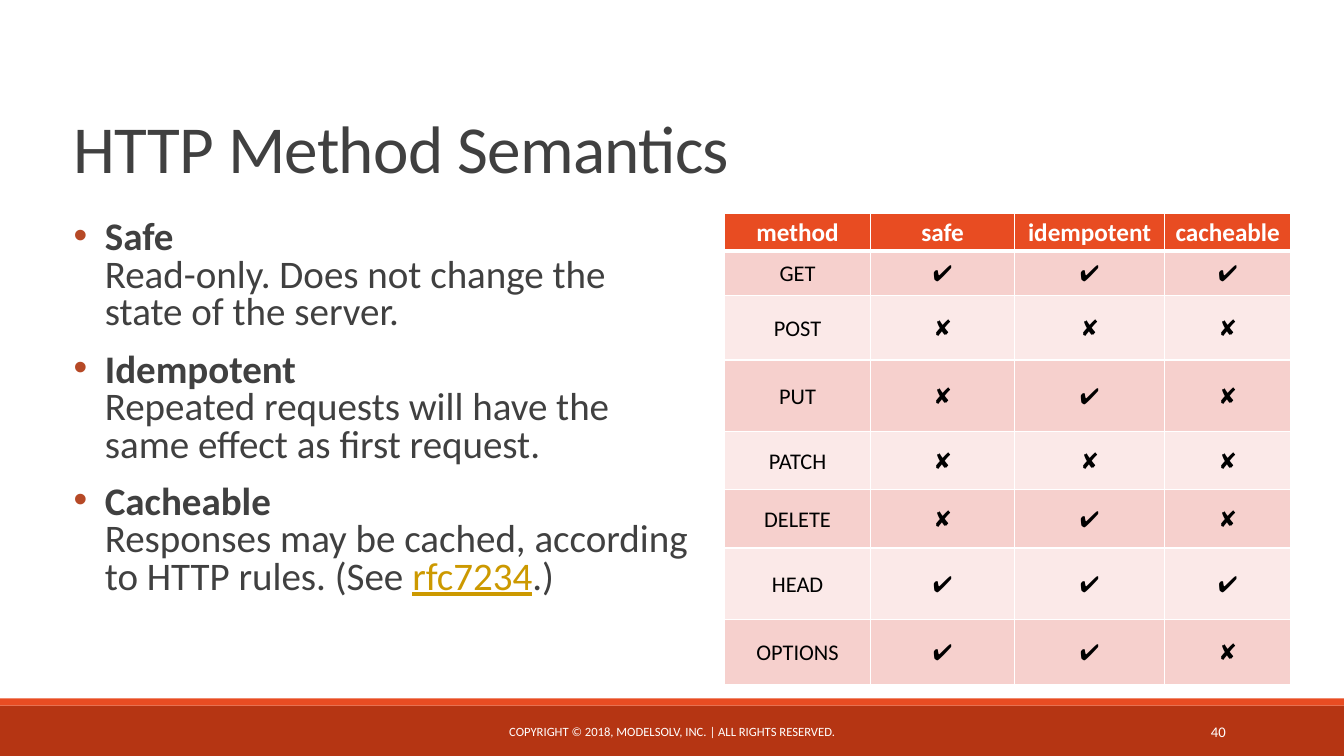
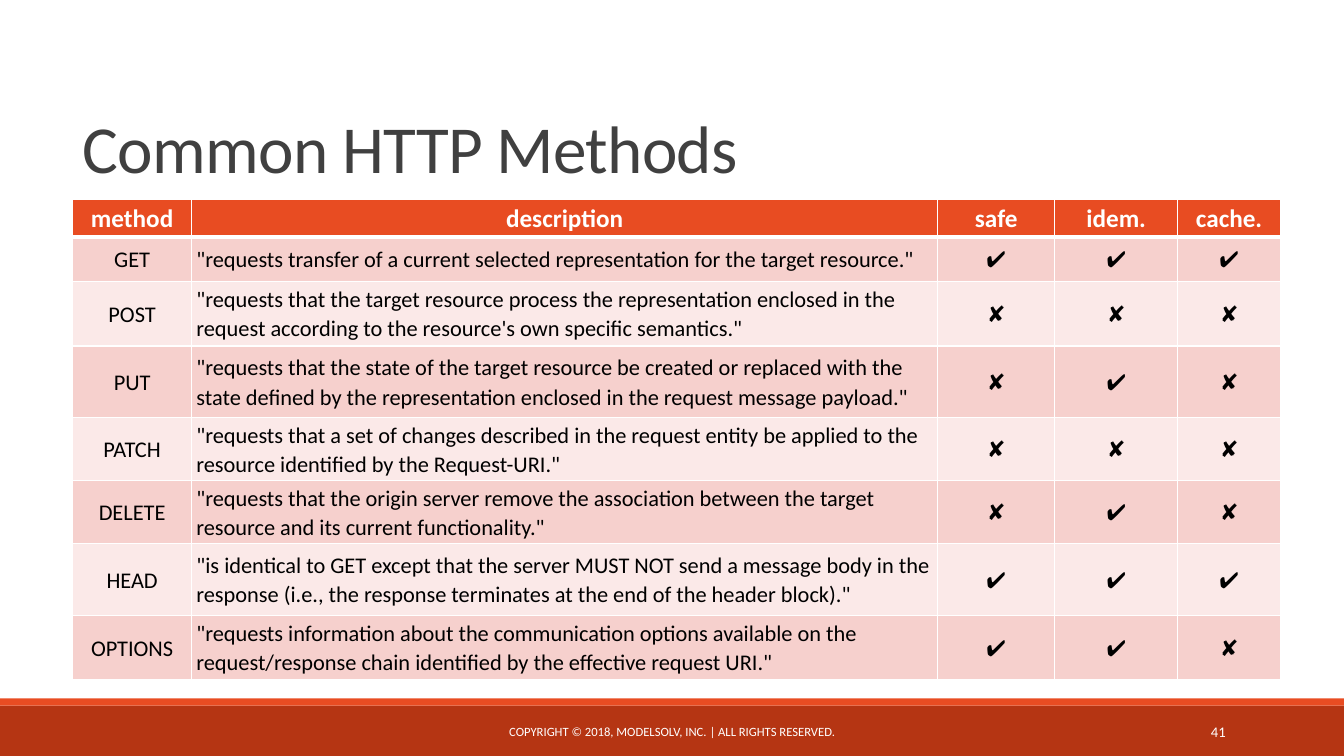
from dataclasses import dataclass
from typing import Any

from lxml.etree import SubElement
from pptx import Presentation
from pptx.dml.color import RGBColor
from pptx.enum.shapes import MSO_SHAPE
from pptx.enum.text import MSO_ANCHOR, MSO_AUTO_SIZE, PP_ALIGN
from pptx.oxml.ns import qn
from pptx.util import Cm, Pt

# Shared look
FACE = "Calibri"
WHITE, BLACK, GREY = "FFFFFF", "000000", "404040"
RUST, FLAME, GOLD, DOT = "B53513", "E84C22", "CC9900", "B64926"
BANDS = ("F6D0CD", "FBE9E8")
NOTICE = "COPYRIGHT © 2018, MODELSOLV, INC. | ALL RIGHTS RESERVED."
WIDE, HIGH = 33.87, 19.05

TITLE = {"size": 48, "color": GREY}
BODY = {"size": 27.9, "color": GREY}
HEAD = {"size": 18, "color": WHITE, "bold": True}
CELL = {"size": 16, "color": BLACK, "bold": False}


@dataclass
class Box:
    left: float
    top: float
    width: float
    height: float

    def args(self) -> tuple:
        return tuple(Cm(n) for n in (self.left, self.top, self.width, self.height))


@dataclass
class Verb:
    name: str
    text: str
    marks: str


@dataclass
class Term:
    name: str
    text: str
    link: str = ""
    tail: str = ""


@dataclass
class Grid:
    left: float
    top: float
    heads: list[str]
    cols: list[float]
    slim: float  # height of the PATCH and DELETE rows


VERBS = [
    Verb("GET", "requests transfer of a current selected representation for the "
         "target resource.", "✔✔✔"),
    Verb("POST", "requests that the target resource process the representation enclosed "
         "in the request according to the resource's own specific semantics.", "✘✘✘"),
    Verb("PUT", "requests that the state of the target resource be created or replaced "
         "with the state defined by the representation enclosed in the request message "
         "payload.", "✘✔✘"),
    Verb("PATCH", "requests that a set of changes described in the request entity be "
         "applied to the resource identified by the Request-URI.", "✘✘✘"),
    Verb("DELETE", "requests that the origin server remove the association between the "
         "target resource and its current functionality.", "✘✔✘"),
    Verb("HEAD", "is identical to GET except that the server MUST NOT send a message "
         "body in the response (i.e., the response terminates at the end of the header "
         "block).", "✔✔✔"),
    Verb("OPTIONS", "requests information about the communication options available on "
         "the request/response chain identified by the effective request URI.", "✔✔✘"),
]
TERMS = [
    Term("Safe", "Read-only. Does not change the state of the server."),
    Term("Idempotent", "Repeated requests will have the same effect as first request."),
    Term("Cacheable", "Responses may be cached, according to HTTP rules. (See ",
         "rfc7234", ".)"),
]


def paint(part: Any, color: str) -> None:
    """Give a fill or a font a colour."""
    if hasattr(part, "solid"):
        part.solid()
        part.fore_color.rgb = RGBColor.from_string(color)
    else:
        part.color.rgb = RGBColor.from_string(color)


def write(para: Any, text: str, look: dict, **more: Any) -> Any:
    """Add a run and set its format values."""
    run = para.add_run()
    run.text = text
    run.font.name = FACE
    for key, value in {**look, **more}.items():
        if key == "color":
            paint(run.font, value)
        else:
            setattr(run.font, key, Pt(value) if key == "size" else value)
    return run


def place(shape: Any, box: Box) -> None:
    for key, value in zip(("left", "top", "width", "height"), box.args()):
        setattr(shape, key, value)


def band(slide: Any, box: Box, color: str) -> None:
    bar = slide.shapes.add_shape(MSO_SHAPE.RECTANGLE, *box.args())
    bar.shadow.inherit = False
    paint(bar.fill, color)
    bar.line.fill.background()


def label(slide: Any, box: Box, text: str, size: float, align: PP_ALIGN) -> None:
    frame = slide.shapes.add_textbox(*box.args()).text_frame
    frame.word_wrap = True
    frame.vertical_anchor = MSO_ANCHOR.MIDDLE
    para = frame.paragraphs[0]
    para.alignment = align
    write(para, text, {"size": size, "color": WHITE})


def start(deck: Any, kind: int, title: str, left: float, page: int) -> Any:
    """Add a slide with its bands, title and footer."""
    slide = deck.slides.add_slide(deck.slide_layouts[kind])
    band(slide, Box(0, 17.78, WIDE, 1.27), RUST)
    band(slide, Box(0, 17.6, WIDE, 0.18), FLAME)
    head = slide.shapes.title
    place(head, Box(left, 0.79, 31 - left, 4.04))
    frame = head.text_frame
    frame.auto_size = MSO_AUTO_SIZE.NONE
    frame.vertical_anchor = MSO_ANCHOR.BOTTOM
    para = frame.paragraphs[0]
    para.alignment = PP_ALIGN.LEFT
    run = write(para, title, TITLE)
    run.font._element.set("spc", "-50")
    label(slide, Box(10.24, 17.93, 13.39, 1.02), NOTICE, 9, PP_ALIGN.CENTER)
    label(slide, Box(27.51, 17.93, 3.63, 1.02), str(page), 10.5, PP_ALIGN.RIGHT)
    return slide


def bullet(para: Any) -> None:
    props = para._p.get_or_add_pPr()
    props.set("marL", str(Cm(0.79)))
    props.set("indent", str(-Cm(0.79)))
    SubElement(SubElement(props, qn("a:buClr")), qn("a:srgbClr"), val=DOT)
    SubElement(props, qn("a:buFont"), typeface="Arial")
    SubElement(props, qn("a:buChar"), char="•")


def listing(slide: Any, box: Box) -> None:
    """Fill the body with the terms and what they mean."""
    body = slide.placeholders[1]
    place(body, box)
    frame = body.text_frame
    frame.auto_size = MSO_AUTO_SIZE.NONE
    for i, term in enumerate(TERMS):
        para = frame.add_paragraph() if i else frame.paragraphs[0]
        bullet(para)
        form = {"line_spacing": 0.8, "space_before": Pt(12 if i else 0),
                "space_after": Pt(2)}
        for key, value in form.items():
            setattr(para, key, value)
        write(para, term.name, BODY, bold=True)
        para.add_line_break()
        write(para, term.text, BODY)
        if term.link:
            write(para, term.link, BODY, color=GOLD, underline=True)
            write(para, term.tail, BODY)


def border(cell: Any, first: bool, below: bool) -> None:
    """White cell edges, with a thick one under the header."""
    props = cell._tc.get_or_add_tcPr()
    for side in "LRTB":
        thick = (first and side == "B") or (below and side == "T")
        line = SubElement(props, qn(f"a:ln{side}"), w=str(Pt(3 if thick else 1)))
        SubElement(SubElement(line, qn("a:solidFill")), qn("a:srgbClr"), val=WHITE)


def table(slide: Any, grid: Grid) -> None:
    """Draw the methods, with the text column if the heads name it."""
    told = "description" in grid.heads
    rows = [grid.heads]
    for verb in VERBS:
        text = [f'"{verb.text}"'] if told else []
        rows.append([verb.name, *text, *verb.marks])
    highs = [0.94, 1.12, 1.63, 1.8, grid.slim, grid.slim, 1.8, 1.63]
    box = Box(grid.left, grid.top, sum(grid.cols), sum(highs))
    sheet = slide.shapes.add_table(len(rows), len(grid.cols), *box.args()).table
    for col, wide in zip(sheet.columns, grid.cols):
        col.width = Cm(wide)
    for row, high in zip(sheet.rows, highs):
        row.height = Cm(high)
    form = {"margin_left": Cm(0.12), "margin_right": Cm(0.12),
            "margin_top": Cm(0.05), "margin_bottom": Cm(0.05),
            "vertical_anchor": MSO_ANCHOR.MIDDLE}
    for r, row in enumerate(rows):
        for c, text in enumerate(row):
            cell = sheet.cell(r, c)
            border(cell, r == 0, r == 1)
            paint(cell.fill, BANDS[(r - 1) % 2] if r else FLAME)
            for key, value in form.items():
                setattr(cell, key, value)
            para = cell.text_frame.paragraphs[0]
            prose = told and r > 0 and c == 1
            para.alignment = PP_ALIGN.LEFT if prose else PP_ALIGN.CENTER
            para.line_spacing = 1.07
            write(para, text, CELL if r else HEAD)


def main() -> None:
    deck = Presentation()
    deck.slide_width, deck.slide_height = Cm(WIDE), Cm(HIGH)

    # Terms beside a short table
    slide = start(deck, 1, "HTTP Method Semantics", 1.6, 40)
    listing(slide, Box(1.6, 5.44, 16.05, 11.79))
    table(slide, Grid(18.26, 5.38, ["method", "safe", "idempotent", "cacheable"],
                      [3.68, 3.63, 3.78, 3.18], 1.47))

    # Full table
    slide = start(deck, 5, "Common HTTP Methods", 1.83, 41)
    table(slide, Grid(1.83, 5.03, ["method", "description", "safe", "idem.", "cache."],
                      [3, 18.8, 2.95, 3.1, 2.59], 1.59))

    deck.save("out.pptx")


if __name__ == "__main__":
    main()
